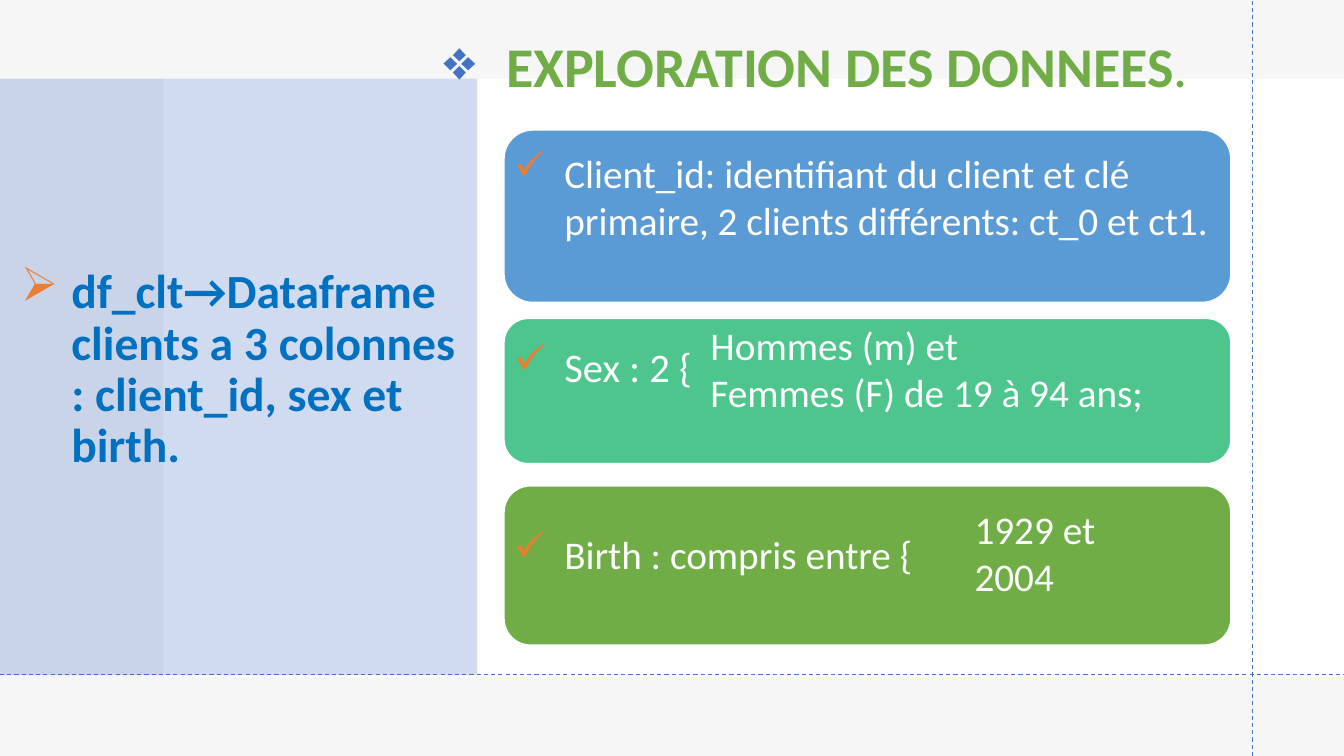
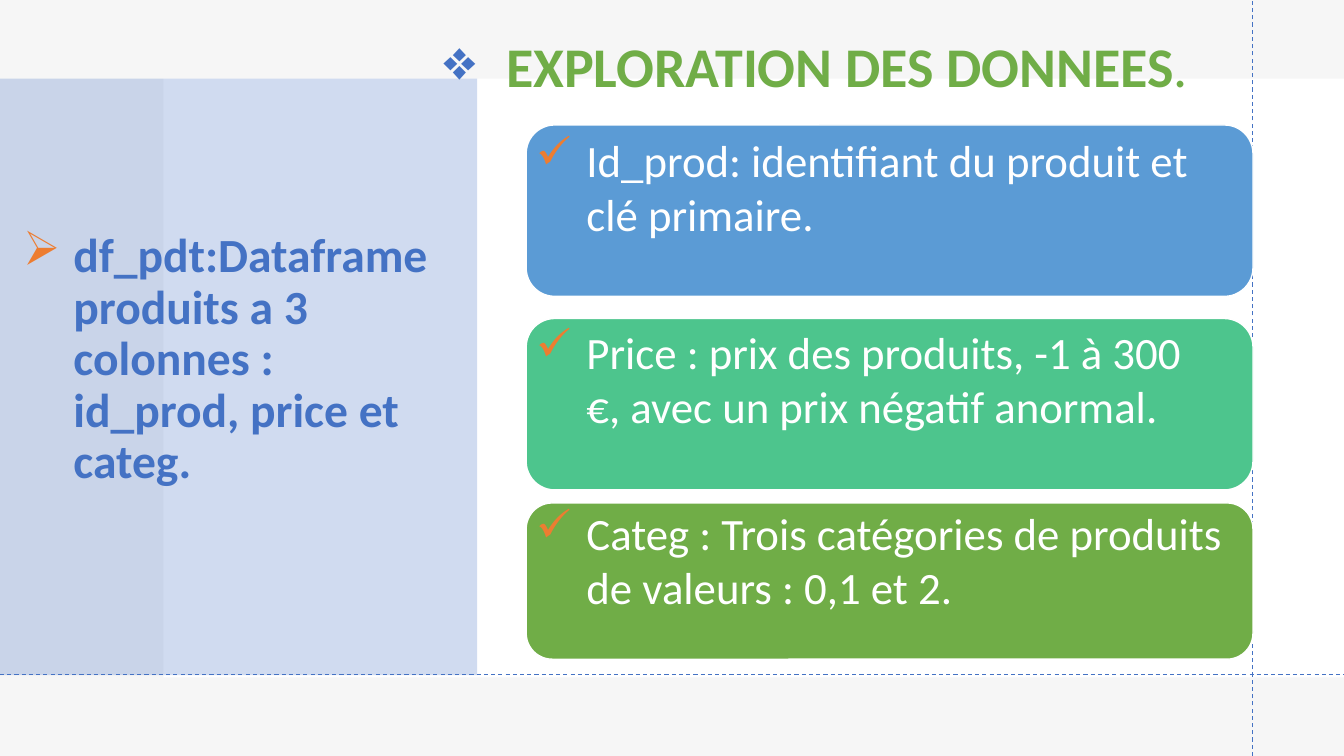
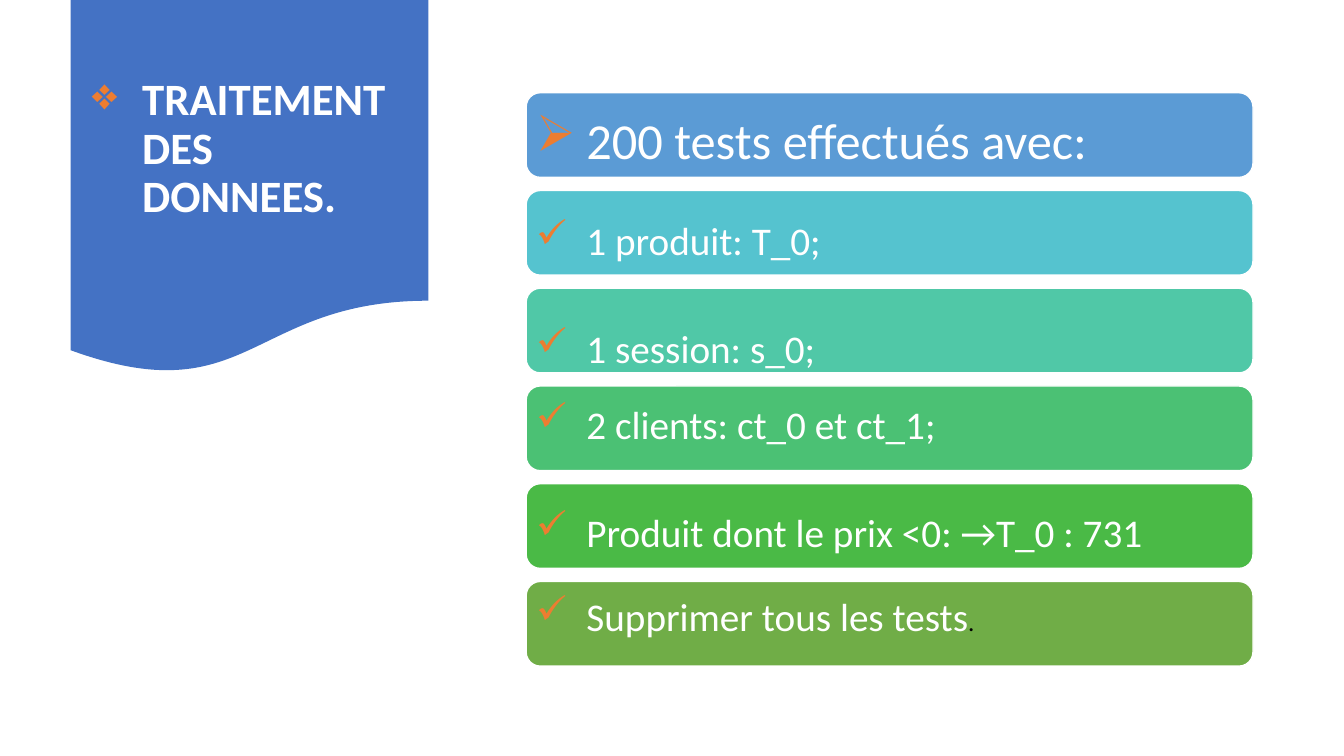
from dataclasses import dataclass

from lxml.etree import SubElement
from pptx import Presentation
from pptx.dml.color import RGBColor
from pptx.enum.dml import MSO_LINE
from pptx.enum.shapes import MSO_CONNECTOR, MSO_SHAPE
from pptx.enum.text import MSO_ANCHOR, MSO_AUTO_SIZE, PP_ALIGN
from pptx.oxml.ns import qn
from pptx.util import Inches, Pt

WIDTH, HEIGHT = Inches(13.333), Inches(7.5)
FONT = "Calibri"
WHITE, GREY, BLACK = "FFFFFF", "E7E6E6", "000000"
BLUE, DEEP_BLUE, ORANGE, GREEN = "4472C4", "0070C0", "ED7D31", "70AD47"
CARD_FILLS = ("5B9BD5", "4DC58D", GREEN)
STEP_FILLS = ("5B9BD5", "55C3CF", "50C8A7", "4BC174", "4ABA46", GREEN)
CHECK, ARROW, DIAMOND = "✓", "➢", "❖"
CARD_WIDTH = 54.08
CARD_LEFT = 39.15


@dataclass(frozen=True)
class Box:
    """A rectangle in percent of the slide's width and height."""
    left: float
    top: float
    width: float
    height: float

    def lengths(self) -> tuple[int, int, int, int]:
        return (across(self.left), down(self.top),
                across(self.width), down(self.height))


@dataclass(frozen=True)
class Span:
    text: str
    size: float
    color: str = WHITE
    bold: bool = False


@dataclass(frozen=True)
class Style:
    bullet: str = ""
    bullet_color: str = ORANGE
    indent: float = 0.5
    line_spacing: float = 1.0
    space_after: float = 0
    anchor: MSO_ANCHOR = MSO_ANCHOR.TOP


@dataclass(frozen=True)
class Label:
    box: Box
    paras: tuple[tuple[Span, ...], ...]
    style: Style


PLAIN = Style()
CHECKED = Style(CHECK)
ARROWED = Style(ARROW)
LEAD = Style(ARROW, line_spacing=0.9, space_after=12, anchor=MSO_ANCHOR.MIDDLE)
EXPLORATION = Style(DIAMOND, BLUE, 0.62, 0.9, 12)
TREATMENT = Style(DIAMOND, line_spacing=0.9, space_after=6,
                  anchor=MSO_ANCHOR.MIDDLE)


def across(share: float) -> int:
    return round(WIDTH * share / 100)


def down(share: float) -> int:
    return round(HEIGHT * share / 100)


def rgb(color: str) -> RGBColor:
    return RGBColor.from_string(color)


def label(box: Box, text: str, size: float, style: Style = CHECKED) -> Label:
    return Label(box, ((Span(text, size),),), style)


def add_block(shapes, kind: MSO_SHAPE, box: Box, fill: str,
              opacity: int = 100, outline: str = ""):
    block = shapes.add_shape(kind, *box.lengths())
    block.shadow.inherit = False
    block.fill.solid()
    block.fill.fore_color.rgb = rgb(fill)
    if opacity < 100:
        color = block.element.spPr.find(qn("a:solidFill"))[0]
        SubElement(color, qn("a:alpha"), val=str(opacity * 1000))
    if outline:
        block.line.color.rgb = rgb(outline)
        block.line.width = Pt(1)
    else:
        block.line.fill.background()


def add_guide(page, x1: float, y1: float, x2: float, y2: float) -> None:
    guide = page.shapes.add_connector(
        MSO_CONNECTOR.STRAIGHT, across(x1), down(y1), across(x2), down(y2))
    guide.line.color.rgb = rgb(BLUE)
    guide.line.width = Pt(0.75)
    guide.line.dash_style = MSO_LINE.DASH
    SubElement(guide.element.spPr, qn("a:effectLst"))


def set_bullet(para, style: Style) -> None:
    properties = para._p.get_or_add_pPr()
    indent = Inches(style.indent)
    properties.set("marL", str(indent))
    properties.set("indent", str(-indent))
    color = SubElement(properties, qn("a:buClr"))
    SubElement(color, qn("a:srgbClr"), val=style.bullet_color)
    SubElement(properties, qn("a:buChar"), char=style.bullet)


def fill_text(holder, content: Label) -> None:
    style = content.style
    frame = holder.text_frame
    frame.word_wrap = True
    frame.auto_size = MSO_AUTO_SIZE.NONE
    frame.vertical_anchor = style.anchor
    for number, spans in enumerate(content.paras):
        para = frame.add_paragraph() if number else frame.paragraphs[0]
        para.alignment = PP_ALIGN.LEFT
        para.line_spacing = style.line_spacing
        para.space_after = Pt(style.space_after)
        if style.bullet:
            set_bullet(para, style)
        for span in spans:
            run = para.add_run()
            run.text = span.text
            run.font.name = FONT
            run.font.size = Pt(span.size)
            run.font.bold = span.bold
            run.font.color.rgb = rgb(span.color)


def add_label(page, content: Label) -> None:
    fill_text(page.shapes.add_textbox(*content.box.lengths()), content)


def set_title(page, content: Label) -> None:
    """Place the title placeholder in front of everything drawn so far."""
    title = page.shapes.title
    title.left, title.top, title.width, title.height = content.box.lengths()
    fill_text(title, content)
    title.element.getparent().append(title.element)


def add_cards(page, boxes: list[Box], fills: tuple[str, ...]) -> None:
    group = page.shapes.add_group_shape()
    for box, fill in zip(boxes, fills):
        add_block(group.shapes, MSO_SHAPE.ROUNDED_RECTANGLE, box, fill,
                  outline=WHITE)


def add_page(deck):
    return deck.slides.add_slide(deck.slide_layouts.get_by_name("Title Only"))


def add_exploration(deck, lead: Label, cards: list[Box],
                    labels: list[Label]) -> None:
    page = add_page(deck)
    for box, fill, opacity in (
        (Box(0, 0, 100, 100), GREY, 35),
        (Box(12.15, 10.4, 87.85, 79.2), WHITE, 100),
        (Box(0, 10.4, 35.5, 78.93), BLUE, 25),
    ):
        add_block(page.shapes, MSO_SHAPE.RECTANGLE, box, fill, opacity)
    add_label(page, lead)
    add_guide(page, 93.22, 100, 93.22, 0)
    add_guide(page, 0, 89.2, 100, 89.2)
    add_cards(page, cards, CARD_FILLS)
    set_title(page, Label(
        Box(32.25, 4.53, 60.75, 9.47),
        ((Span("EXPLORATION DES DONNEES", 40, GREEN, True),
          Span(".", 40, GREEN)),),
        EXPLORATION))
    for content in labels:
        add_label(page, content)


def add_clients(deck) -> None:
    left = 37.5
    lead = Span("df_clt→Dataframe clients a 3 colonnes : client_id, sex et birth.",
                34, DEEP_BLUE, True)
    cards = [Box(left, top, CARD_WIDTH, height) for top, height in
             ((17.2, 22.8), (42.13, 19.2), (64.27, 21.07))]
    genders = tuple((Span(text, 28),) for text in
                    ("Hommes (m) et", "Femmes (F) de 19 à 94 ans;"))
    add_exploration(
        deck, Label(Box(0.82, 12.27, 34.05, 73.47), ((lead,),), LEAD), cards, [
            Label(Box(52.13, 41.87, 35.7, 21.07), genders, PLAIN),
            label(Box(71.78, 66.13, 11.18, 13.87), "1929 et 2004", 28, PLAIN),
            label(Box(left, 44.53, 17.25, 7.87), "Sex : 2 {", 29),
            label(Box(left, 19.07, CARD_WIDTH, 13.87),
                  "Client_id: identifiant du client et clé primaire, "
                  "2 clients différents: ct_0 et ct1.", 28),
            label(Box(left, 69.47, 35.4, 7.6), "Birth : compris entre {", 28),
        ])


def add_products(deck) -> None:
    lead = Span("df_pdt:Dataframe produits a 3 colonnes : id_prod, price et categ.",
                34, BLUE, True)
    cards = [Box(CARD_LEFT, top, CARD_WIDTH, height) for top, height in
             ((16.53, 22.67), (42.13, 22.67), (66.53, 20.67))]
    columns = (
        (16.93, 51.6, "Id_prod: identifiant du produit et clé primaire."),
        (42.27, 52.35, "Price : prix des produits, -1 à 300 €, "
                       "avec un prix négatif anormal."),
        (66.27, 52.95, "Categ : Trois catégories de produits "
                       "de valeurs : 0,1 et 2."),
    )
    add_exploration(
        deck, Label(Box(0.98, 18.4, 32.78, 58.53), ((lead,),), LEAD), cards,
        [label(Box(CARD_LEFT, top, width, 15.73), text, 32)
         for top, width, text in columns])


def add_treatment(deck) -> None:
    page = add_page(deck)
    add_block(page.shapes, MSO_SHAPE.FLOWCHART_DOCUMENT,
              Box(5.25, 0, 26.63, 49.6), BLUE)
    set_title(page, Label(
        Box(6.08, 2.53, 24.08, 34.53),
        ((Span("TRAITEMENT DES DONNEES.", 32, WHITE, True),),), TREATMENT))
    first, pitch = 12.27, 12.93
    add_cards(page, [Box(CARD_LEFT, first + pitch * row, CARD_WIDTH, 11.2)
                     for row in range(len(STEP_FILLS))], STEP_FILLS)
    text_width, text_height = 52.2, 7.6
    add_label(page, label(Box(CARD_LEFT, 13.73, text_width, 9.47),
                          "200 tests effectués avec:", 36, ARROWED))
    for top, text in (
        (28, "1 produit: T_0;"),
        (42.27, "1 session: s_0;"),
        (52.27, "2 clients: ct_0 et ct_1;"),
        (66.53, "Produit dont le prix <0: →T_0 : 731"),
    ):
        add_label(page, label(Box(CARD_LEFT, top, text_width, text_height),
                              text, 28))
    add_label(page, Label(
        Box(CARD_LEFT, 77.73, text_width, text_height),
        ((Span("Supprimer tous les tests", 28), Span(".", 18, BLACK)),),
        CHECKED))


def main() -> None:
    deck = Presentation()
    deck.slide_width, deck.slide_height = WIDTH, HEIGHT
    add_clients(deck)
    add_products(deck)
    add_treatment(deck)
    deck.save("out.pptx")


if __name__ == "__main__":
    main()
